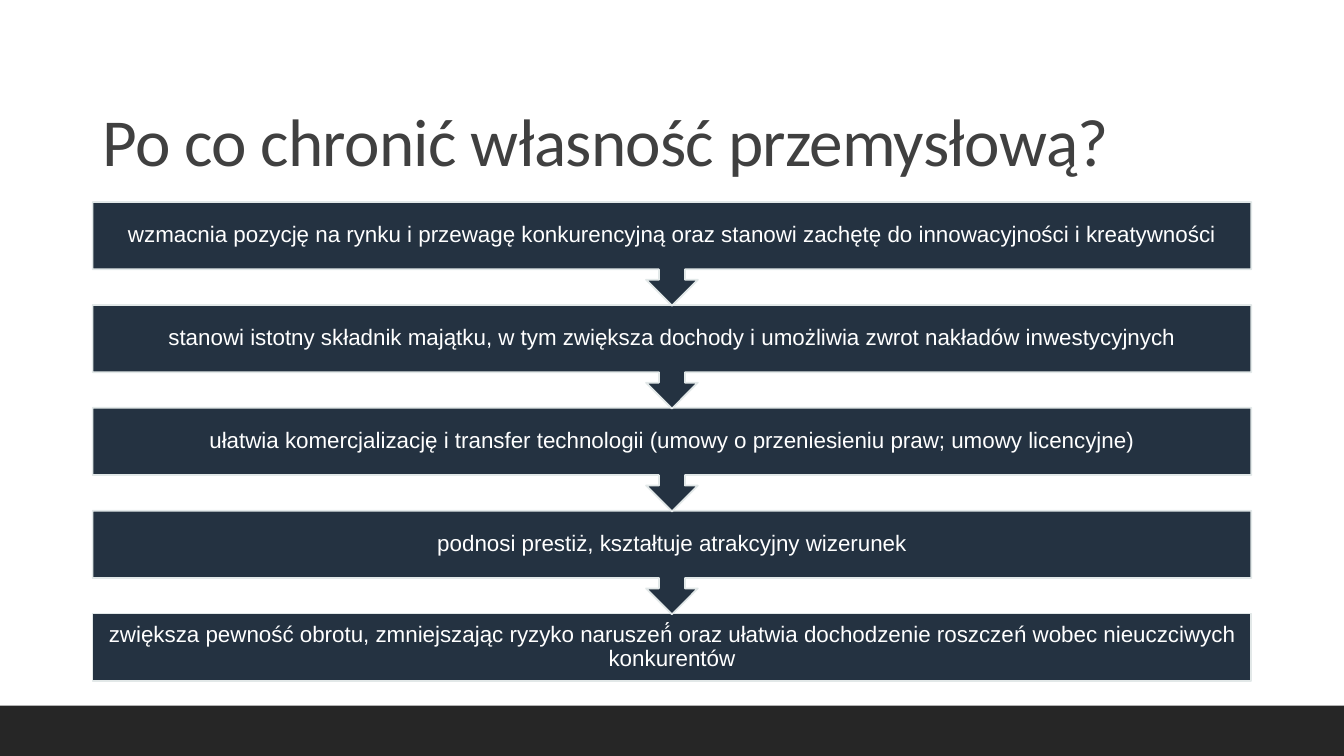
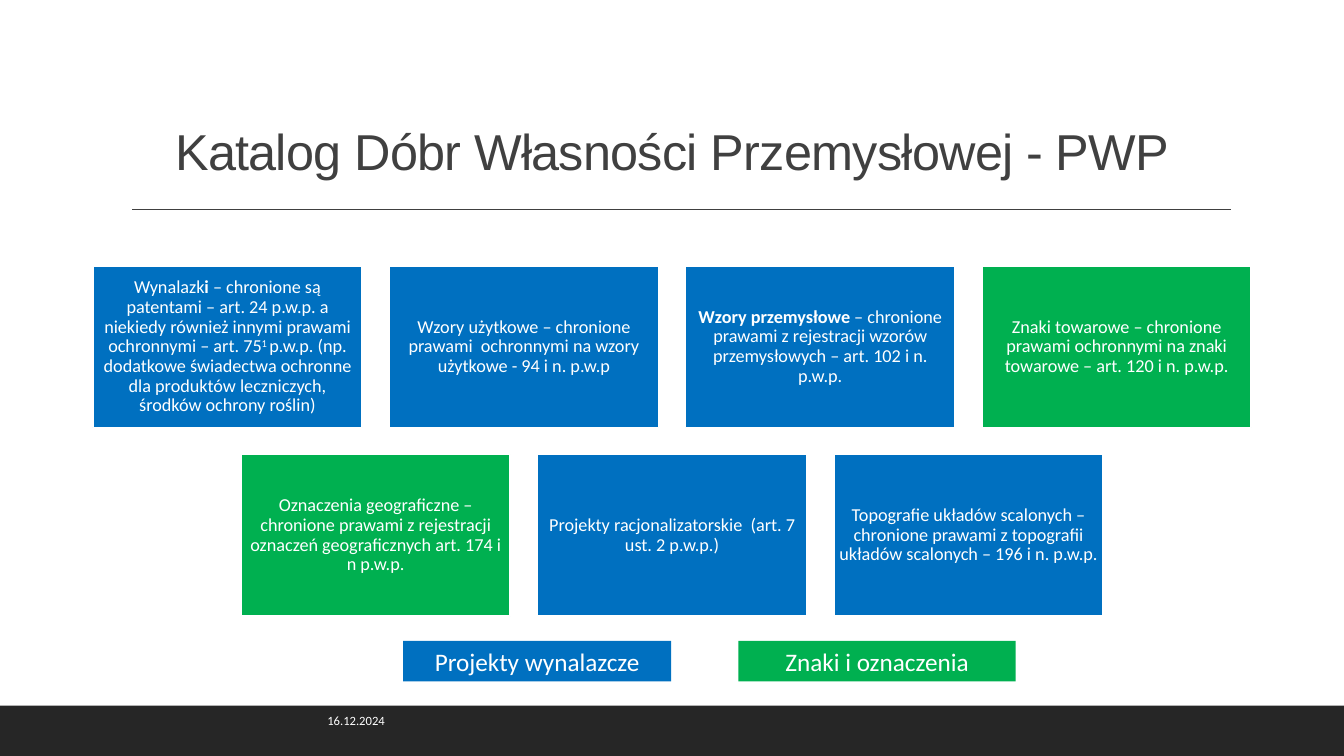
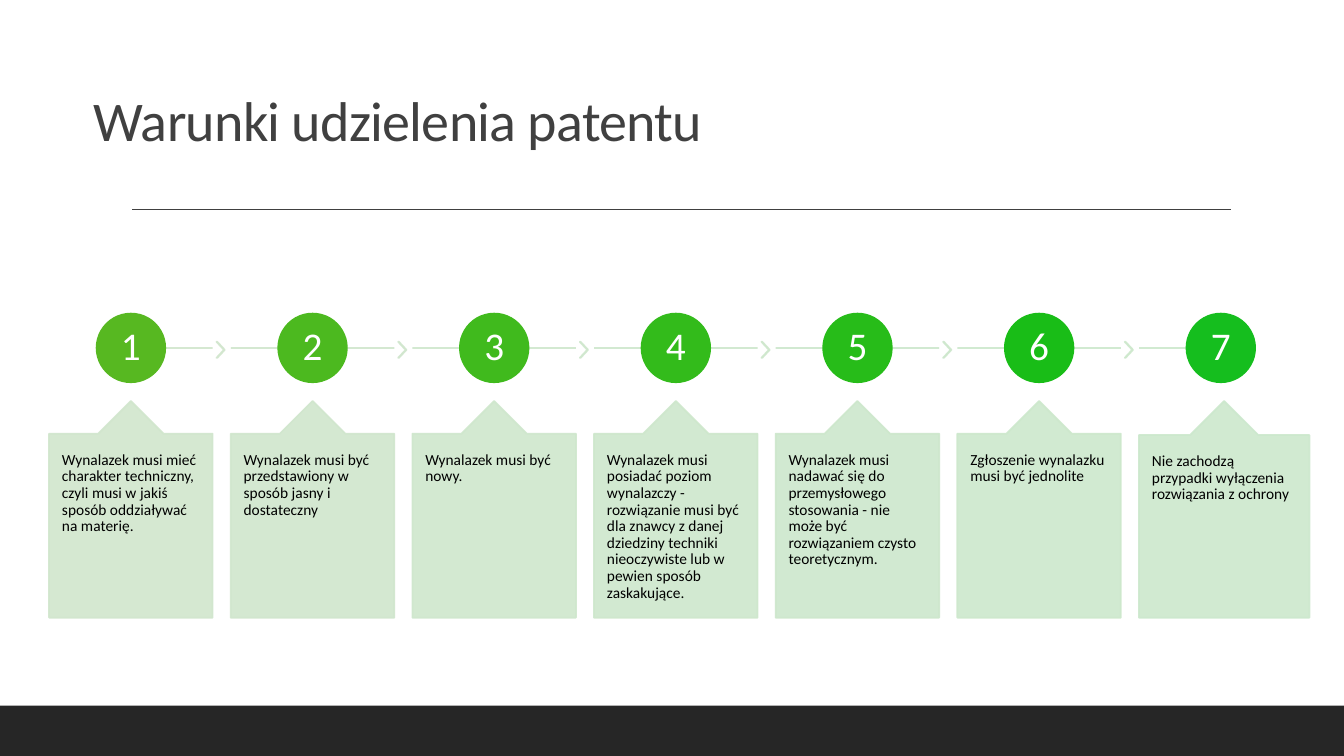
import pptx
import pptx.dml.color
import pptx.enum.shapes
import pptx.enum.text
import pptx.oxml.ns
import pptx.util
from lxml import etree

Pt = pptx.util.Pt
SHAPE = pptx.enum.shapes.MSO_SHAPE
ALIGN = pptx.enum.text.PP_ALIGN
ANCHOR = pptx.enum.text.MSO_ANCHOR
qn = pptx.oxml.ns.qn

WIDTH, HEIGHT = 960, 540
COLORS = {
    "band": "262626", "title": "404040", "white": "FFFFFF", "black": "000000",
    "navy": "243241", "pale": "E2E8E8", "blue": "0070C0", "green": "00B050",
    "dot1": "57B821", "dot2": "4CB91F", "dot3": "40BA1D", "dot4": "33BB1B",
    "dot5": "27BC19", "dot6": "19BD17", "dot7": "15BE1E",
    "tint1": "D1E6CD", "tint2": "D0E6CD", "tint3": "CFE7CD", "tint4": "CEE7CC",
    "tint5": "CDE7CC", "tint6": "CDE8CC", "tint7": "CCE8CD",
}


def rgb(name):
    return pptx.dml.color.RGBColor.from_string(COLORS[name])


def set_alpha(shape, percent):
    """Give the fill and line colours of a shape the same opacity."""
    for color in shape._element.spPr.iter(qn("a:srgbClr")):
        etree.SubElement(color, qn("a:alpha")).set("val", str(percent * 1000))


class Deck:
    """The shared style and the slide being drawn."""

    def __init__(self):
        self.prs = pptx.Presentation()
        self.prs.slide_width, self.prs.slide_height = Pt(WIDTH), Pt(HEIGHT)
        self.slide = None

    def new_slide(self, title, box, size, font="Calibri", align=ALIGN.LEFT):
        self.slide = self.prs.slides.add_slide(self.prs.slide_layouts[5])
        sp = self.slide.shapes.title
        sp.left, sp.top, sp.width, sp.height = map(Pt, box)
        self.put_text(sp, title, size, "title", font, align, ANCHOR.BOTTOM, (7.2, 3.6))
        for r in sp.text_frame.paragraphs[0].runs:
            r._r.get_or_add_rPr().set("spc", "-50")
        self.shape(SHAPE.RECTANGLE, (0, 504, WIDTH, 36), "band")
        self.line(94.5, 879, 149.5, "title", 1)

    def put_text(self, sp, text, size, color="white", font="Calibri",
                 align=ALIGN.CENTER, anchor=ANCHOR.MIDDLE, inset=(3.6, 3.6), spacing=0.9):
        """Fill a shape with a string, or with (text, "", "bold" or "super") runs."""
        tf = sp.text_frame
        tf.word_wrap = True
        tf.auto_size = pptx.enum.text.MSO_AUTO_SIZE.NONE
        tf.vertical_anchor = anchor
        tf.margin_left = tf.margin_right = Pt(inset[0])
        tf.margin_top = tf.margin_bottom = Pt(inset[1])
        p = tf.paragraphs[0]
        p.alignment, p.line_spacing = align, spacing
        for part, style in [(text, "")] if isinstance(text, str) else text:
            r = p.add_run()
            r.text = part
            r.font.name, r.font.size = font, Pt(size)
            r.font.color.rgb = rgb(color)
            r.font.bold = style == "bold"
            if style == "super":
                r._r.get_or_add_rPr().set("baseline", "30000")

    def shape(self, kind, box, fill, line=None, adjust=()):
        sp = self.slide.shapes.add_shape(kind, *map(Pt, box))
        sp.shadow.inherit = False
        sp.fill.solid()
        sp.fill.fore_color.rgb = rgb(fill)
        if line:
            sp.line.color.rgb = rgb(line)
            sp.line.width = Pt(1.25)
        else:
            sp.line.fill.background()
        for i, value in enumerate(adjust):
            sp.adjustments[i] = value
        return sp

    def line(self, x1, x2, y, color, width):
        cxn = self.slide.shapes.add_connector(
            pptx.enum.shapes.MSO_CONNECTOR.STRAIGHT, Pt(x1), Pt(y), Pt(x2), Pt(y))
        cxn.line.color.rgb = rgb(color)
        cxn.line.width = Pt(width)
        etree.SubElement(cxn._element.spPr, qn("a:effectLst"))
        return cxn

    def textbox(self, box, text, size, **style):
        sp = self.slide.shapes.add_textbox(*map(Pt, box))
        self.put_text(sp, text, size, **style)


def reasons_slide(deck):
    deck.new_slide("Po co chronić własność przemysłową?", (66, 44, 828, 89), 48)
    reasons = [
        "wzmacnia pozycję na rynku i przewagę konkurencyjną oraz stanowi zachętę do "
        "innowacyjności i kreatywności",
        "stanowi istotny składnik majątku, w tym zwiększa dochody i umożliwia zwrot "
        "nakładów inwestycyjnych",
        "ułatwia komercjalizację i transfer technologii (umowy o przeniesieniu praw; "
        "umowy licencyjne)",
        "podnosi prestiż, kształtuje atrakcyjny wizerunek",
        "zwiększa pewność obrotu, zmniejszając ryzyko naruszeń́ oraz ułatwia dochodzenie "
        "roszczeń wobec nieuczciwych konkurentów",
    ]
    last = len(reasons) - 1
    for i in range(last, -1, -1):
        kind, height = ((SHAPE.RECTANGLE, 48) if i == last
                        else (SHAPE.DOWN_ARROW_CALLOUT, 74))
        sp = deck.shape(kind, (66.2, 144.3 + 73.5 * i, 827.6, height), "navy", "pale")
        deck.put_text(sp, reasons[i], 16, font="Arial", inset=(8.6, 8.6))


def catalogue_slide(deck):
    deck.new_slide("Katalog Dóbr Własności Przemysłowej - PWP", (66, 44, 828, 89), 36,
                   "Arial", ALIGN.CENTER)
    deck.textbox((66, 500.4, 216, 28.8), "16.12.2024", 9, align=ALIGN.RIGHT,
                 inset=(7.2, 3.6), spacing=1)
    inventions = [("Wynalazk", ""), ("i", "bold"),
                  (" – chronione są patentami – art. 24 p.w.p. a niekiedy również innymi "
                   "prawami ochronnymi – art. 75", ""), ("1 ", "super"),
                  ("p.w.p. (np. dodatkowe świadectwa ochronne dla produktów leczniczych, "
                   "środków ochrony roślin)", "")]
    designs = [("Wzory przemysłowe ", "bold"),
               ("– chronione prawami z rejestracji wzorów przemysłowych – art. 102 i n. "
                "p.w.p.", "")]
    rows = [
        [("blue", inventions),
         ("blue", "Wzory użytkowe – chronione prawami  ochronnymi na wzory użytkowe - "
                  "94 i n. p.w.p"),
         ("blue", designs),
         ("green", "Znaki towarowe – chronione prawami ochronnymi na znaki towarowe – "
                   "art. 120 i n. p.w.p.")],
        [("green", "Oznaczenia geograficzne – chronione prawami z rejestracji oznaczeń "
                   "geograficznych art. 174 i n p.w.p."),
         ("blue", "Projekty racjonalizatorskie  (art. 7 ust. 2 p.w.p.)"),
         ("blue", "Topografie układów scalonych – chronione prawami z topografii układów "
                  "scalonych – 196 i n. p.w.p.")],
    ]
    card_w, card_h, gap = 192.4, 115.4, 19.3
    for i, row in enumerate(rows):
        left = (WIDTH - len(row) * (card_w + gap) + gap) / 2
        for j, (color, text) in enumerate(row):
            box = (left + j * (card_w + gap), 190 + i * (card_h + gap), card_w, card_h)
            deck.put_text(deck.shape(SHAPE.RECTANGLE, box, color, "white"), text, 13)
    for x, width, color, label in [(288, 191.5, "blue", "Projekty wynalazcze"),
                                   (527.5, 198, "green", "Znaki i oznaczenia")]:
        sp = deck.shape(SHAPE.RECTANGLE, (x, 457.8, width, 29), color)
        deck.put_text(sp, label, 18, spacing=1)


def conditions_slide(deck):
    deck.new_slide("Warunki udzielenia patentu", (59.8, 21.6, 825, 91.4), 40)
    conditions = [
        "Wynalazek musi mieć charakter techniczny, czyli musi w jakiś sposób oddziaływać "
        "na materię.",
        "Wynalazek musi być przedstawiony w sposób jasny i dostateczny",
        "Wynalazek musi być nowy.",
        "Wynalazek musi posiadać poziom wynalazczy - rozwiązanie musi być dla znawcy "
        "z danej dziedziny techniki nieoczywiste lub w pewien sposób zaskakujące.",
        "Wynalazek musi nadawać się do przemysłowego stosowania - nie może "
        "być rozwiązaniem czysto teoretycznym.",
        "Zgłoszenie wynalazku musi być jednolite",
        "Nie zachodzą przypadki wyłączenia rozwiązania z ochrony",
    ]
    width, pitch, dot = 116.8, 129.75, 49
    count = len(conditions)
    for n, text in enumerate(conditions, 1):
        x = 35.1 + (n - 1) * pitch
        middle = x + width / 2
        tint = f"tint{n}"
        tinted = [deck.line(middle if n == 1 else x, middle if n == count else x + width,
                            248.5, tint, 1.25)]
        if n < count:
            tinted.append(deck.shape(SHAPE.CHEVRON, (x + 119.6, 244.2, 5.9, 11.4),
                                     tint, tint, [0.9]))
        sp = deck.shape(SHAPE.OVAL, (middle - dot / 2, 224, dot, dot), f"dot{n}", f"dot{n}")
        deck.put_text(sp, str(n), 28, inset=(2, 2))
        box = (x, 286.4, 121.7 if n == count else width, 154.8)
        sp = deck.shape(SHAPE.UP_ARROW_CALLOUT, box, tint, tint, [0.5, 0.2, 0.2, 1])
        deck.put_text(sp, text, 11, "black", align=ALIGN.LEFT, anchor=ANCHOR.TOP,
                      inset=(9.2, 13))
        for part in tinted + [sp]:
            set_alpha(part, 90)


def main():
    deck = Deck()
    reasons_slide(deck)
    catalogue_slide(deck)
    conditions_slide(deck)
    deck.prs.save("out.pptx")


if __name__ == "__main__":
    main()
